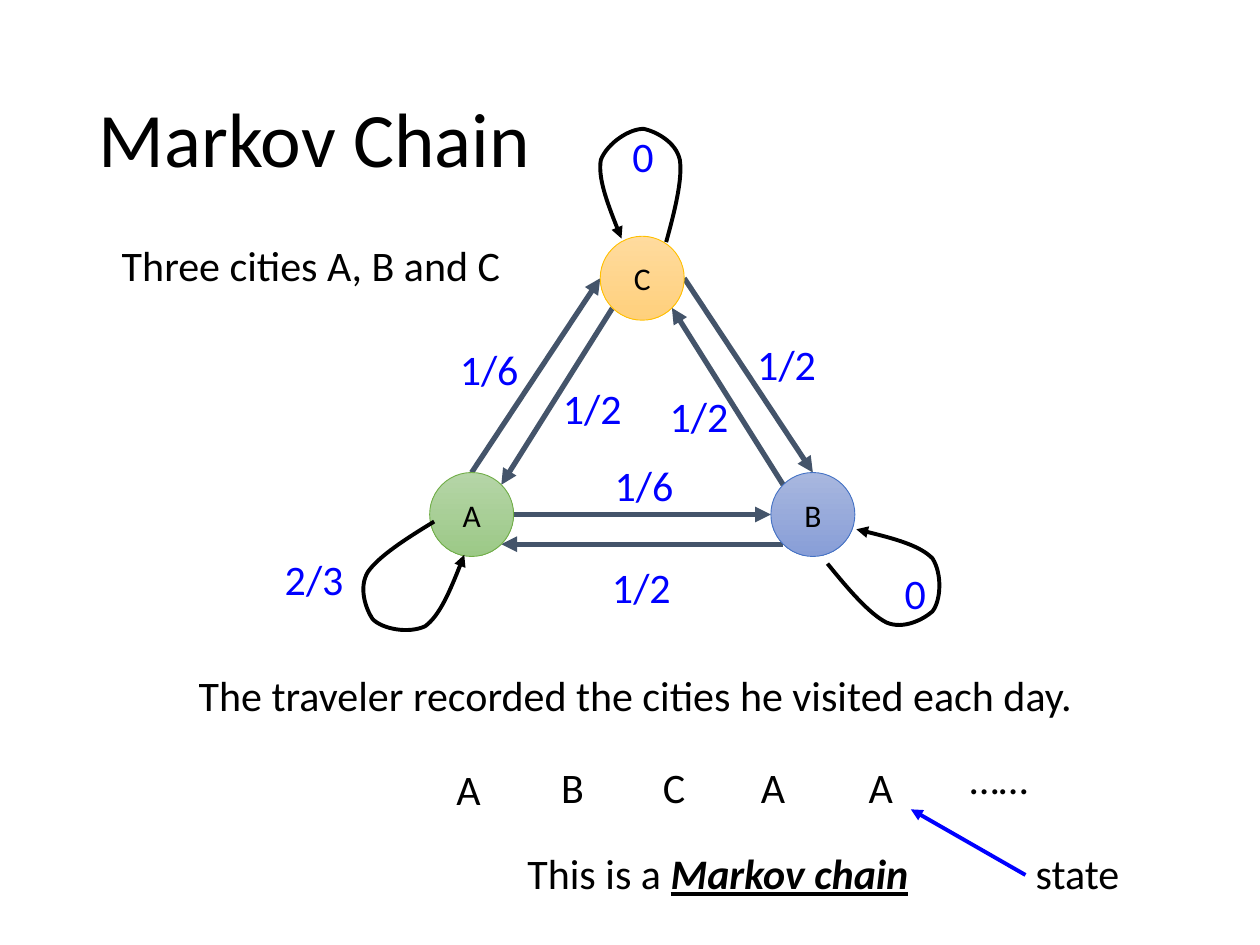
import math

import pptx
import pptx.dml.color
import pptx.enum.dml
import pptx.enum.shapes
import pptx.enum.text
import pptx.oxml
import pptx.oxml.ns
import pptx.util

Pt = pptx.util.Pt
RGBColor = pptx.dml.color.RGBColor
ALIGN = pptx.enum.text.PP_ALIGN
ANCHOR = pptx.enum.text.MSO_ANCHOR
AUTO_SIZE = pptx.enum.text.MSO_AUTO_SIZE

BLACK = RGBColor(0x00, 0x00, 0x00)
BLUE = RGBColor(0x00, 0x00, 0xFF)
SLATE = RGBColor(0x44, 0x54, 0x6A)
YELLOW = (RGBColor(0xFF, 0xDB, 0x9E), RGBColor(0xFF, 0xD0, 0x7C), RGBColor(0xFF, 0xC0, 0x00))
GREEN = (RGBColor(0xB5, 0xD5, 0xA7), RGBColor(0x9C, 0xC9, 0x87), RGBColor(0x70, 0xAD, 0x47))
INDIGO = (RGBColor(0xA8, 0xB7, 0xDF), RGBColor(0x88, 0x9E, 0xD7), RGBColor(0x44, 0x72, 0xC4))

FONT = "Calibri"
TEXT_HEIGHT = 36
LABEL_WIDTH = 71
RADIUS = 24

# Label, centre and colours (top, bottom, outline) of each city
CITIES = {
    "C": (223, 88, YELLOW),
    "A": (125.5, 223, GREEN),
    "B": (320.5, 223, INDIGO),
}
# Start city and angle on its rim, then end city and angle (clockwise from the right)
MOVES = [
    ("A", 270, "C", 180),
    ("C", 135, "A", 315),
    ("C", 0, "B", 270),
    ("B", 225, "C", 45),
    ("A", 0, "B", 180),
    ("B", 135, "A", 45),
]
# Centre and rotation of the loops at A, B and C
LOOPS = [(93, 261, 334.9), (364, 257.5, 237.1), (221.5, 35, 111.6)]
LOOP_SIZE = (64, 52)
# Start point, then three Bezier points for each curve
LOOP_POINTS = [
    (56.5, 0),
    (38, 2), (19.5, 4.5), (10, 10),
    (1, 16), (0, 29), (1, 35.5),
    (3.5, 43), (16, 52), (26.5, 52),
    (36.5, 50), (50.5, 37.5), (64, 24.5),
]
PROBABILITIES = [
    ("2/3", 0, 242), ("0", 188, 0), ("0", 343.5, 249.5),
    ("1/6", 188.5, 188), ("1/6", 100, 122), ("1/2", 187, 246.5),
    ("1/2", 220, 148.5), ("1/2", 270, 119), ("1/2", 159, 144),
]
VISITS = [("A", 0, 6), ("B", 59.5, 5), ("C", 117.5, 5),
          ("A", 174, 5), ("A", 235.5, 5), ("……", 303, 0)]


def write(paragraph, text, size=24, color=BLACK, **formats):
    run = paragraph.add_run()
    run.text = text
    for name, value in dict(name=FONT, size=Pt(size), **formats).items():
        setattr(run.font, name, value)
    run.font.color.rgb = color


def add_text(slide, left, top, width, text, height=TEXT_HEIGHT, size=24, color=BLACK,
             alignment=ALIGN.CENTER):
    """Add a text box and return its shape."""
    shape = slide.shapes.add_textbox(Pt(left), Pt(top), Pt(width), Pt(height))
    shape.text_frame.word_wrap = True
    shape.text_frame.auto_size = AUTO_SIZE.SHAPE_TO_FIT_TEXT
    paragraph = shape.text_frame.paragraphs[0]
    paragraph.alignment = alignment
    write(paragraph, text, size, color)
    return shape


def style_arrow(line, color, width):
    line.color.rgb = color
    line.width = Pt(width)
    tail = pptx.oxml.ns.qn("a:tailEnd")
    line._get_or_add_ln().append(line._get_or_add_ln().makeelement(tail, {"type": "triangle"}))


def add_arrow(slide, start, end, color, width):
    connector = slide.shapes.add_connector(
        pptx.enum.shapes.MSO_CONNECTOR.STRAIGHT, *(Pt(value) for value in (*start, *end)))
    style_arrow(connector.line, color, width)
    properties = connector._element.spPr
    properties.append(properties.makeelement(pptx.oxml.ns.qn("a:effectLst"), {}))


def add_city(slide, center_x, center_y, label, colors):
    shape = slide.shapes.add_shape(
        pptx.enum.shapes.MSO_SHAPE.OVAL, Pt(center_x - RADIUS), Pt(center_y - RADIUS),
        Pt(2 * RADIUS), Pt(2 * RADIUS))
    shape.shadow.inherit = False
    top_color, bottom_color, outline = colors
    shape.fill.gradient()
    shape.fill.gradient_angle = 270
    for stop, color, position in zip(shape.fill.gradient_stops, (top_color, bottom_color), (0, 1)):
        stop.color.rgb = color
        stop.position = position
    shape.line.color.rgb = outline
    shape.line.width = Pt(0.5)
    shape.text_frame.vertical_anchor = ANCHOR.MIDDLE
    paragraph = shape.text_frame.paragraphs[0]
    paragraph.alignment = ALIGN.CENTER
    write(paragraph, label, 18)


def add_loop(slide, center_x, center_y, rotation):
    """Add a curved arrow that leaves a city and returns to it."""
    start, *points = [(Pt(x), Pt(y)) for x, y in LOOP_POINTS]
    builder = slide.shapes.build_freeform(*start, scale=1.0)
    builder.add_line_segments(points, close=False)
    width, height = LOOP_SIZE
    shape = builder.convert_to_shape(Pt(center_x - width / 2), Pt(center_y - height / 2))
    segments = list(shape._element.iter(pptx.oxml.ns.qn("a:lnTo")))
    for index in range(0, len(segments), 3):
        path = segments[index].getparent()
        curve = path.makeelement(pptx.oxml.ns.qn("a:cubicBezTo"), {})
        path.append(curve)
        for segment in segments[index:index + 3]:
            curve.append(segment[0])
            path.remove(segment)
    shape.rotation = rotation
    shape.shadow.inherit = False
    shape.fill.background()
    style_arrow(shape.line, BLACK, 2.25)


def rim_point(left, top, city, angle):
    center_x, center_y, _ = CITIES[city]
    radians = math.radians(angle)
    return (left + center_x + RADIUS * math.cos(radians),
            top + center_y + RADIUS * math.sin(radians))


def add_diagram(slide, left, top):
    for start, start_angle, end, end_angle in MOVES:
        add_arrow(slide, rim_point(left, top, start, start_angle),
                  rim_point(left, top, end, end_angle), SLATE, 3)
    for label, (x, y, colors) in CITIES.items():
        add_city(slide, left + x, top + y, label, colors)
    for x, y, rotation in LOOPS:
        add_loop(slide, left + x, top + y, rotation)
    for text, x, y in PROBABILITIES:
        add_text(slide, left + x, top + y, LABEL_WIDTH, text, color=BLUE)


def add_heading(slide, left, top):
    title = add_text(slide, left, top, 621, "Markov Chain", height=104.5, size=44,
                     alignment=ALIGN.LEFT)
    title.text_frame.auto_size = AUTO_SIZE.NONE
    title.text_frame.vertical_anchor = ANCHOR.MIDDLE
    title.text_frame.paragraphs[0].line_spacing = 0.9
    add_text(slide, left + 13, top + 104.5, 240.5, "Three cities A, B and C",
             alignment=ALIGN.LEFT)


def add_record(slide, left, top):
    add_text(slide, left, top, 539.5, "The traveler recorded the cities he visited each day.",
             alignment=ALIGN.LEFT)
    for text, x, y in VISITS:
        add_text(slide, left + 121 + x, top + 47.5 + y, 80.5, text)
    conclusion = add_text(slide, left + 180.5, top + 102, 246.5, "This is a ")
    write(conclusion.text_frame.paragraphs[0], "Markov chain",
          bold=True, italic=True, underline=True)
    add_text(slide, left + 465, top + 102, 88.5, "state")
    add_arrow(slide, (left + 479.5, top + 121), (left + 414, top + 83.5), BLUE, 2.25)


def main():
    presentation = pptx.Presentation()
    presentation.slide_width = Pt(720)
    presentation.slide_height = Pt(540)
    slide = presentation.slides.add_slide(presentation.slide_layouts[6])
    add_heading(slide, 49.5, 29)
    add_diagram(slide, 144, 71)
    add_record(slide, 106.5, 379)
    presentation.save("out.pptx")


if __name__ == "__main__":
    main()
